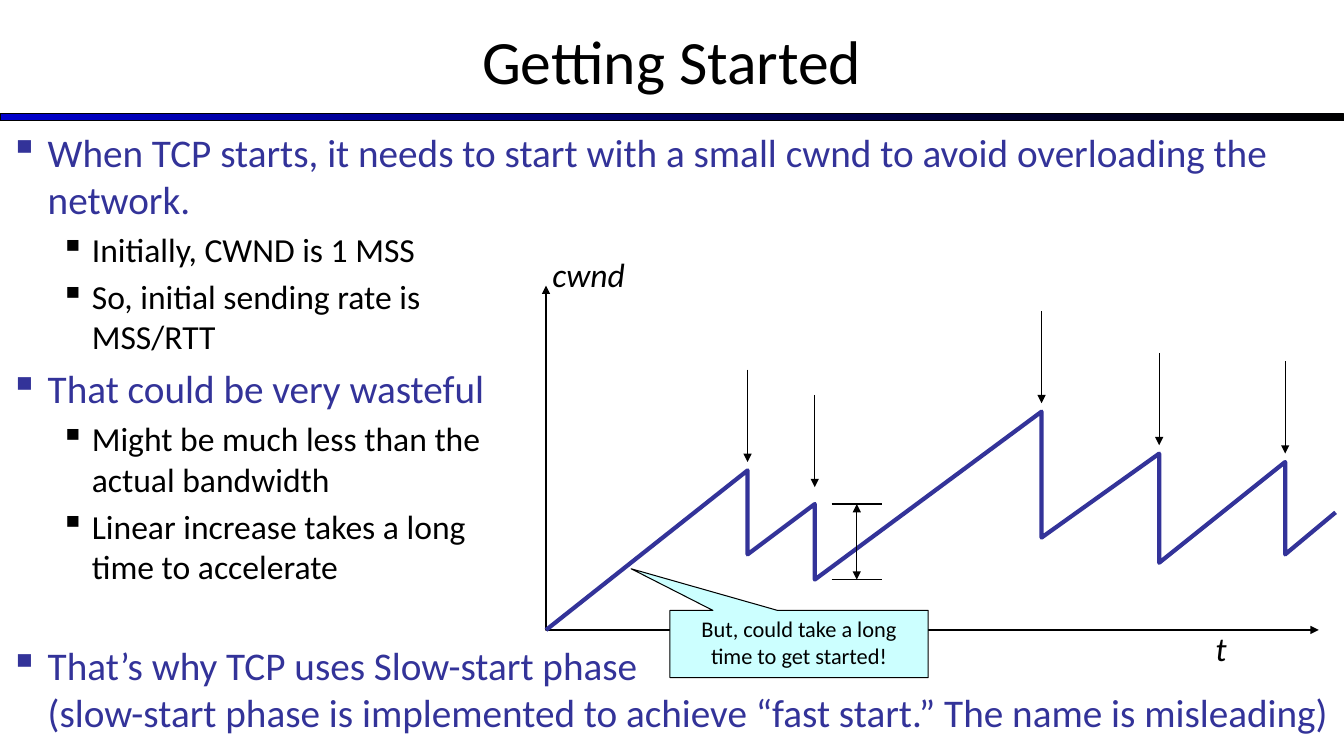
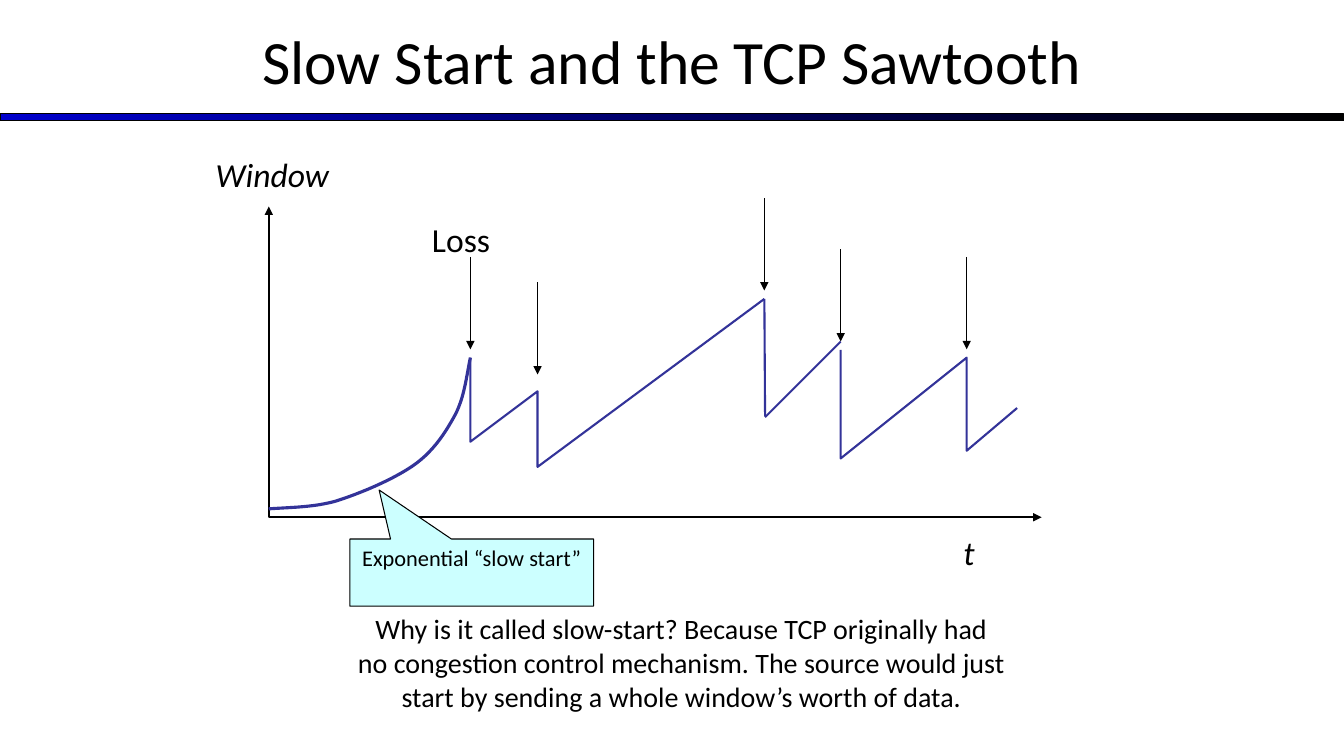
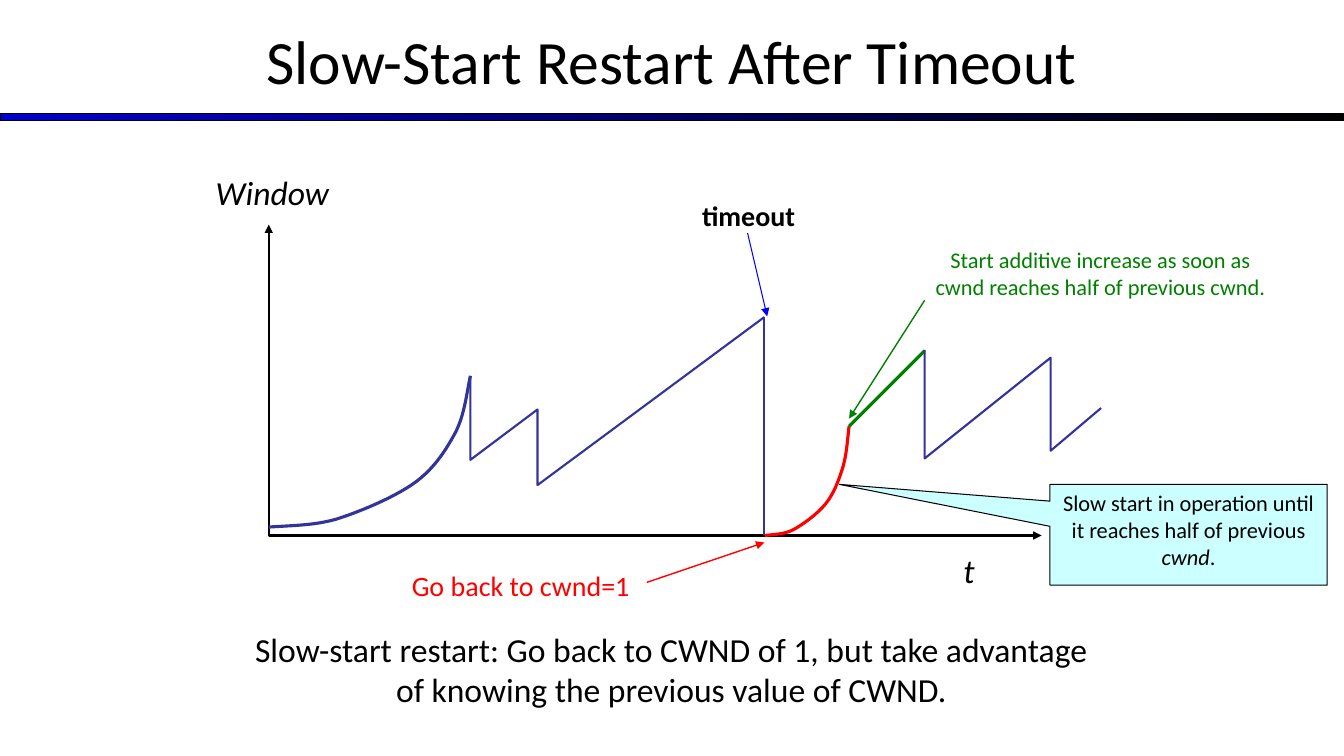
from dataclasses import dataclass
from typing import NamedTuple

from lxml import etree
from pptx import Presentation
from pptx.dml.color import RGBColor
from pptx.enum import shapes, text
from pptx.oxml import ns
from pptx.slide import Slide
from pptx.util import Pt

FONT = "Calibri"
BLACK, NAVY, BLUE = "000000", "333399", "0000FF"
RED, GREEN, PALE_CYAN, BAND_BLUE = "FF0000", "008000", "CCFFFF", "0000CC"
SLIDE_WIDTH, SLIDE_HEIGHT = 960, 540
LEFT, CENTER = text.PP_ALIGN.LEFT, text.PP_ALIGN.CENTER
LOSS_ARROW_LENGTH = 66
AXIS_WIDTH = 552
WINDOW_LEFT = 192

# Cubic Bezier points of the exponential rise, in a unit square, from the peak down.
RISE = [
    (1, 0), (0.98, 0.13), (0.97, 0.27), (0.92, 0.39),
    (0.87, 0.51), (0.81, 0.63), (0.71, 0.72),
    (0.61, 0.81), (0.45, 0.9), (0.33, 0.95),
    (0.22, 0.99), (0.11, 0.99), (0, 1),
]


class Point(NamedTuple):
    x: float
    y: float


class Box(NamedTuple):
    left: float
    top: float
    width: float
    height: float

    def lengths(self) -> list:
        return [Pt(value) for value in self]


@dataclass
class Callout:
    text: str
    box: Box
    tip: tuple[float, float]


@dataclass
class Level:
    size: float
    color: str
    margin: float
    hanging: float


LEVELS = [Level(28, NAVY, 27, 27), Level(24, BLACK, 58.5, 22.5)]


def rgb(value: str) -> RGBColor:
    return RGBColor.from_string(value)


def write(paragraph, content: str, *, size: float, color: str = BLACK,
          bold: bool = False, italic: bool = False, align=LEFT) -> None:
    """Write text; newlines break the line and *stars* mark italics."""
    paragraph.alignment = align
    for number, line in enumerate(content.split("\n")):
        if number:
            paragraph.add_line_break()
        for index, chunk in enumerate(line.split("*")):
            run = paragraph.add_run()
            run.text = chunk
            font = run.font
            font.name, font.size, font.bold = FONT, Pt(size), bold
            font.italic = italic or index % 2 == 1
            font.color.rgb = rgb(color)


def add_label(slide: Slide, content: str, box: Box, *, wrap: bool = False,
              anchor=text.MSO_ANCHOR.TOP, **text_format) -> None:
    frame = slide.shapes.add_textbox(*box.lengths()).text_frame
    frame.word_wrap = wrap
    frame.vertical_anchor = anchor
    write(frame.paragraphs[0], content, **text_format)


def style_line(shape, color: str, width: float, head: bool = False,
               tail: bool = False) -> None:
    shape.line.color.rgb = rgb(color)
    shape.line.width = Pt(width)
    outline = shape.element.spPr.get_or_add_ln()
    for tag, wanted in (("a:headEnd", head), ("a:tailEnd", tail)):
        if wanted:
            etree.SubElement(outline, ns.qn(tag), type="triangle")


def add_line(slide: Slide, start: tuple, end: tuple, *, color: str = BLACK,
             width: float = 0.75, head: bool = False, tail: bool = False) -> None:
    connector = slide.shapes.add_connector(
        shapes.MSO_CONNECTOR.STRAIGHT, *(Pt(value) for value in (*start, *end)))
    style_line(connector, color, width, head, tail)
    etree.SubElement(connector.element.spPr, ns.qn("a:effectLst"))


def add_polyline(slide: Slide, points: list, *, color: str = NAVY,
                 width: float = 1.5, arrows: bool = False) -> None:
    first, *rest = [(Pt(x), Pt(y)) for x, y in points]
    builder = slide.shapes.build_freeform(*first)
    builder.add_line_segments(rest, close=False)
    shape = builder.convert_to_shape()
    shape.shadow.inherit = False
    shape.fill.background()
    style_line(shape, color, width, arrows, arrows)


def add_rise(slide: Slide, box: Box, color: str = NAVY, steps: int = 12) -> None:
    """Draw the exponential slow-start curve, fitted to a box."""
    points = [RISE[0]]
    for first in range(0, len(RISE) - 1, 3):
        corners = RISE[first:first + 4]
        for step in range(1, steps + 1):
            t = step / steps
            weights = ((1 - t) ** 3, 3 * t * (1 - t) ** 2, 3 * t * t * (1 - t), t ** 3)
            points.append(tuple(
                sum(weight * corner[axis] for weight, corner in zip(weights, corners))
                for axis in (0, 1)))
    add_polyline(slide, [(box.left + x * box.width, box.top + y * box.height)
                         for x, y in points], color=color, width=2.25)


def add_axes(slide: Slide, left: float, top: float, height: float) -> None:
    bottom = top + height
    add_polyline(slide, [(left, top), (left, bottom), (left + AXIS_WIDTH, bottom)],
                 color=BLACK, arrows=True)


def add_loss_arrows(slide: Slide, starts: list[Point]) -> None:
    for start in starts:
        add_line(slide, start, (start.x, start.y + LOSS_ARROW_LENGTH), tail=True)


def add_callout(slide: Slide, callout: Callout) -> None:
    shape = slide.shapes.add_shape(
        shapes.MSO_SHAPE.RECTANGULAR_CALLOUT, *callout.box.lengths())
    shape.shadow.inherit = False
    for index, value in enumerate(callout.tip):
        shape.adjustments[index] = value
    shape.fill.solid()
    shape.fill.fore_color.rgb = rgb(PALE_CYAN)
    style_line(shape, BLACK, 0.75)
    frame = shape.text_frame
    frame.word_wrap = True
    frame.vertical_anchor = text.MSO_ANCHOR.TOP
    write(frame.paragraphs[0], callout.text, size=16, align=CENTER)


def add_bullets(slide: Slide, box: Box, items: list[tuple[int, str]],
                last_gap: float) -> None:
    """List (level, text) items, with an extra gap before the last one."""
    frame = slide.shapes.add_textbox(*box.lengths()).text_frame
    frame.word_wrap = True
    for index, (depth, content) in enumerate(items):
        level = LEVELS[depth]
        paragraph = frame.add_paragraph() if index else frame.paragraphs[0]
        properties = paragraph._p.get_or_add_pPr()
        properties.set("marL", str(Pt(level.margin)))
        properties.set("indent", str(-Pt(level.hanging)))
        bullet_color = etree.SubElement(properties, ns.qn("a:buClr"))
        etree.SubElement(bullet_color, ns.qn("a:srgbClr"), val=level.color)
        etree.SubElement(properties, ns.qn("a:buChar"), char="▪")
        paragraph.level = depth
        if index:
            extra = last_gap if index == len(items) - 1 else 0
            paragraph.space_before = Pt(0.2 * level.size + extra)
        write(paragraph, content, size=level.size, color=level.color)


def add_titled_slide(presentation, title: str) -> Slide:
    slide = presentation.slides.add_slide(presentation.slide_layouts[6])
    band = slide.shapes.add_shape(
        shapes.MSO_SHAPE.RECTANGLE, *Box(0, 81.2, SLIDE_WIDTH, 5).lengths())
    band.shadow.inherit = False
    band.fill.gradient()
    band.fill.gradient_angle = 0
    for stop, color in zip(band.fill.gradient_stops, (BAND_BLUE, BLACK)):
        stop.color.rgb = rgb(color)
    style_line(band, BLACK, 0.75)
    add_label(slide, title, Box(0, -2, SLIDE_WIDTH, 90), wrap=True,
              anchor=text.MSO_ANCHOR.MIDDLE, size=44, align=CENTER)
    return slide


def add_window_graph(slide: Slide, top: float) -> None:
    """Draw axes, their labels, the first slow start and the first two losses."""
    add_axes(slide, WINDOW_LEFT, top, 222)
    add_label(slide, "t", Box(681, top + 229, 22.5, 36), size=24, italic=True)
    add_label(slide, "Window", Box(147, top - 41, 95.5, 36), size=24, italic=True)
    add_rise(slide, Box(WINDOW_LEFT, top + 108, 144, 108))
    teeth = [(336, 108), (336, 168), (384, 132), (384, 186), (546, 66)]
    add_polyline(slide, [(x, top + y) for x, y in teeth])


def add_later_teeth(slide: Slide, left: float) -> None:
    teeth = [(0, 250), (0, 327.5), (90, 255.5), (90, 322), (126, 291.5)]
    add_polyline(slide, [(left + x, y) for x, y in teeth])


def build_getting_started(presentation) -> None:
    slide = add_titled_slide(presentation, "Getting Started")
    add_axes(slide, 390, 204, 246)
    add_polyline(slide, [
        (390, 450), (534, 336), (534, 396), (582, 360), (582, 414), (744, 294),
        (744, 384), (828, 324), (828, 402), (918, 330), (918, 396), (954, 366),
    ], width=3)
    add_label(slide, "t", Box(861, 445, 22.5, 36), size=24, italic=True)
    add_label(slide, "cwnd", Box(387.5, 178, 67, 36), size=24, italic=True)
    for y in (360, 414):
        add_line(slide, (594, y), (630, y))
    add_line(slide, (612, 360), (612, 414), head=True, tail=True)
    add_loss_arrows(slide, [Point(534, 264), Point(582, 282), Point(744, 222),
                            Point(828, 252), Point(918, 258)])
    add_callout(slide, Callout("But, could take a long time to get started!",
                               Box(478.5, 436, 184.5, 48), (-0.65, -1.12)))
    add_bullets(slide, Box(0, 88, SLIDE_WIDTH, 452), [
        (0, "When TCP starts, it needs to start with a small cwnd to avoid "
            "overloading the network."),
        (1, "Initially, CWND is 1 MSS"),
        (1, "So, initial sending rate is\nMSS/RTT"),
        (0, "That could be very wasteful"),
        (1, "Might be much less than the\nactual bandwidth"),
        (1, "Linear increase takes a long\ntime to accelerate"),
        (0, "That’s why TCP uses Slow-start phase\n(slow-start phase is implemented "
            "to achieve “fast start.” The name is misleading)"),
    ], last_gap=34)


def build_sawtooth(presentation) -> None:
    slide = add_titled_slide(presentation, "Slow Start and the TCP Sawtooth")
    add_window_graph(slide, 147.5)
    add_loss_arrows(slide, [Point(336, 183.5), Point(384, 201.5), Point(546, 141.5),
                            Point(600.5, 178), Point(690.5, 183.5)])
    add_label(slide, "Loss", Box(301.5, 152.5, 56, 36), size=24)
    add_line(slide, (546, 213.5), (546.5, 297.5), color=NAVY, width=1.5)
    add_line(slide, (546.5, 298), (600.5, 244), color=NAVY, width=1.5)
    add_later_teeth(slide, 600.5)
    add_callout(slide, Callout("Exponential “slow start”",
                               Box(250, 385, 174, 48), (-0.38, -1.23)))
    add_label(slide, "Why is it called slow-start? Because TCP originally had\n"
              "no congestion control mechanism. The source would just\n"
              "start by sending a whole window’s worth of data.",
              Box(245.5, 433.5, 482.5, 79), size=20, align=CENTER)


def build_restart(presentation) -> None:
    slide = add_titled_slide(presentation, "Slow-Start Restart After Timeout")
    add_window_graph(slide, 160.5)
    add_line(slide, (546, 226.5), (546, 382.5), color=NAVY, width=1.5)
    add_rise(slide, Box(546.5, 304.5, 60, 78), RED)
    add_line(slide, (606.5, 304.5), (660.5, 250.5), color=GREEN, width=2.25)
    add_later_teeth(slide, 660.5)
    add_callout(slide, Callout(
        "Slow start in operation until it reaches half of previous *cwnd*.",
        Box(750, 346, 198, 72), (-1.26, -0.5)))
    add_line(slide, (534, 166.5), (548, 226), color=BLUE, tail=True)
    add_line(slide, (462, 416), (546, 387.5), color=RED, width=1, tail=True)
    add_line(slide, (660.5, 214.5), (606.5, 299), color=GREEN, width=1, tail=True)
    add_label(slide, "timeout", Box(491.5, 138.5, 86.5, 31), size=20, bold=True,
              align=CENTER)
    add_label(slide, "Go back to cwnd=1", Box(282, 402.5, 180, 32), wrap=True,
              size=20, color=RED, align=CENTER)
    add_label(slide, "Start additive increase as soon as cwnd reaches half of "
              "previous cwnd.", Box(659.5, 172, 253, 46), wrap=True,
              size=16, color=GREEN, align=CENTER)
    add_label(slide, "Slow-start restart: Go back to CWND of 1, but take advantage "
              "of knowing the previous value of CWND.", Box(171, 445.5, 617, 65.5),
              wrap=True, size=24, align=CENTER)


def main() -> None:
    presentation = Presentation()
    presentation.slide_width = Pt(SLIDE_WIDTH)
    presentation.slide_height = Pt(SLIDE_HEIGHT)
    for build in (build_getting_started, build_sawtooth, build_restart):
        build(presentation)
    presentation.save("out.pptx")


if __name__ == "__main__":
    main()
